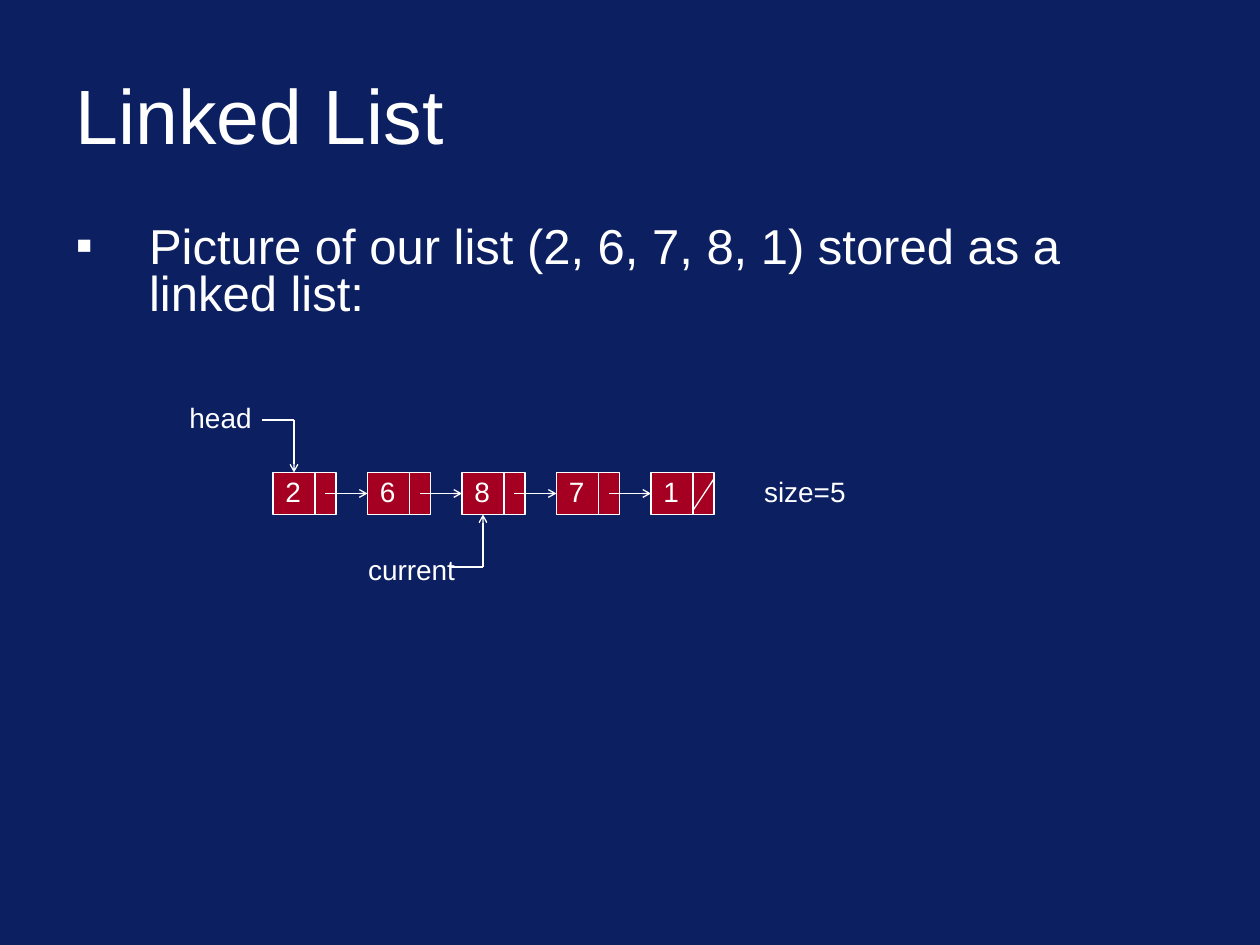
from lxml.etree import SubElement
from pptx import Presentation
from pptx.dml.color import RGBColor
from pptx.enum.shapes import MSO_CONNECTOR, MSO_SHAPE
from pptx.enum.text import MSO_ANCHOR, MSO_AUTO_SIZE, PP_ALIGN
from pptx.oxml.ns import qn
from pptx.util import Emu, Pt

COLORS = {"background": "0B1F61", "node": "A50021", "white": "FFFFFF"}
PX = 7620  # 120 px to the inch

# Node geometry
VALUES = ["2", "6", "8", "7", "1"]
LEFT, TOP, PITCH = 260, 450, 90
WIDTH, HEIGHT, SPLIT = 60, 40, 40
MIDDLE, BOTTOM = TOP + HEIGHT // 2, TOP + HEIGHT
LABEL_H = 44


def px(*values):
    return [Emu(v * PX) for v in values]


def rgb(name):
    return RGBColor.from_string(COLORS[name])


def write(sp, text, size=16, align=PP_ALIGN.LEFT, anchor=MSO_ANCHOR.TOP,
          wrap=True, fit=MSO_AUTO_SIZE.NONE):
    tf = sp.text_frame
    tf.word_wrap, tf.auto_size, tf.vertical_anchor = wrap, fit, anchor
    p = tf.paragraphs[0]
    p.alignment = align
    r = p.add_run()
    r.text = text
    r.font.name, r.font.size = "Arial", Pt(size)
    r.font.color.rgb = rgb("white")
    return p


def place(sp, x, y, w, h):
    sp.left, sp.top, sp.width, sp.height = px(x, y, w, h)


def add_bullet(p, char, indent):
    pPr = p._p.get_or_add_pPr()
    pPr.set("marL", str(indent * PX))
    pPr.set("indent", str(-indent * PX))
    SubElement(pPr, qn("a:buFont"), typeface="Arial")
    SubElement(pPr, qn("a:buChar"), char=char)


def add_label(shapes, text, x, y, w, **fmt):
    sp = shapes.add_textbox(*px(x, y, w, LABEL_H))
    write(sp, text, fit=MSO_AUTO_SIZE.SHAPE_TO_FIT_TEXT, **fmt)


def add_line(shapes, x1, y1, x2, y2, arrow=False):
    line = shapes.add_connector(MSO_CONNECTOR.STRAIGHT, *px(x1, y1, x2, y2))
    line.line.color.rgb = rgb("white")
    line.line.width = Pt(0.75)
    if arrow:
        SubElement(line.line._get_or_add_ln(), qn("a:tailEnd"),
                   type="arrow", w="sm", len="sm")
    SubElement(line._element.spPr, qn("a:effectLst"))


def add_node(shapes, value, x, last):
    sp = shapes.add_shape(MSO_SHAPE.RECTANGLE, *px(x, TOP, WIDTH, HEIGHT))
    sp.shadow.inherit = False
    sp.fill.solid()
    sp.fill.fore_color.rgb = rgb("node")
    sp.line.color.rgb = rgb("white")
    sp.line.width = Pt(0.75)
    add_line(shapes, x + SPLIT, TOP, x + SPLIT, BOTTOM)
    add_label(shapes, value, x, TOP - 4, 32)
    if last:  # null link
        add_line(shapes, x + WIDTH, TOP + 6, x + SPLIT, BOTTOM - 4)
    else:
        add_line(shapes, x + 50, MIDDLE, x + PITCH, MIDDLE, arrow=True)


def add_pointer(shapes, text, label_box, node, y, end_y):
    """Label with an elbow that ends in an arrow at a node."""
    x = LEFT + node * PITCH + 20
    add_label(shapes, text, *label_box, align=PP_ALIGN.CENTER, wrap=False)
    add_line(shapes, x - 30, y, x, y)
    add_line(shapes, x, y, x, end_y, arrow=True)


def main():
    prs = Presentation()
    prs.slide_width, prs.slide_height = px(1200, 900)
    slide = prs.slides.add_slide(prs.slide_layouts[1])
    slide.background.fill.solid()
    slide.background.fill.fore_color.rgb = rgb("background")

    # Title and bullet
    title, body = slide.placeholders
    place(title, 60, 48, 1080, 120)
    write(title, "Linked List", size=44, anchor=MSO_ANCHOR.MIDDLE)
    place(body, 60, 210, 1080, 120)
    p = write(body, "Picture of our list (2, 6, 7, 8, 1) stored as a linked list:",
              size=28)
    p.line_spacing, p.space_before = 0.8, Pt(5.6)
    add_bullet(p, "▪", 70)

    # Linked list diagram
    shapes = slide.shapes.add_group_shape().shapes
    for i, value in enumerate(VALUES):
        add_node(shapes, value, LEFT + i * PITCH, last=i == len(VALUES) - 1)
    add_pointer(shapes, "head", (166, 376, 88), node=0, y=400, end_y=TOP)
    add_pointer(shapes, "current", (337, 520, 110), node=2, y=540, end_y=BOTTOM)
    add_label(shapes, "size=5", 714, TOP - 4, 105, align=PP_ALIGN.CENTER, wrap=False)

    prs.save("out.pptx")


if __name__ == "__main__":
    main()
